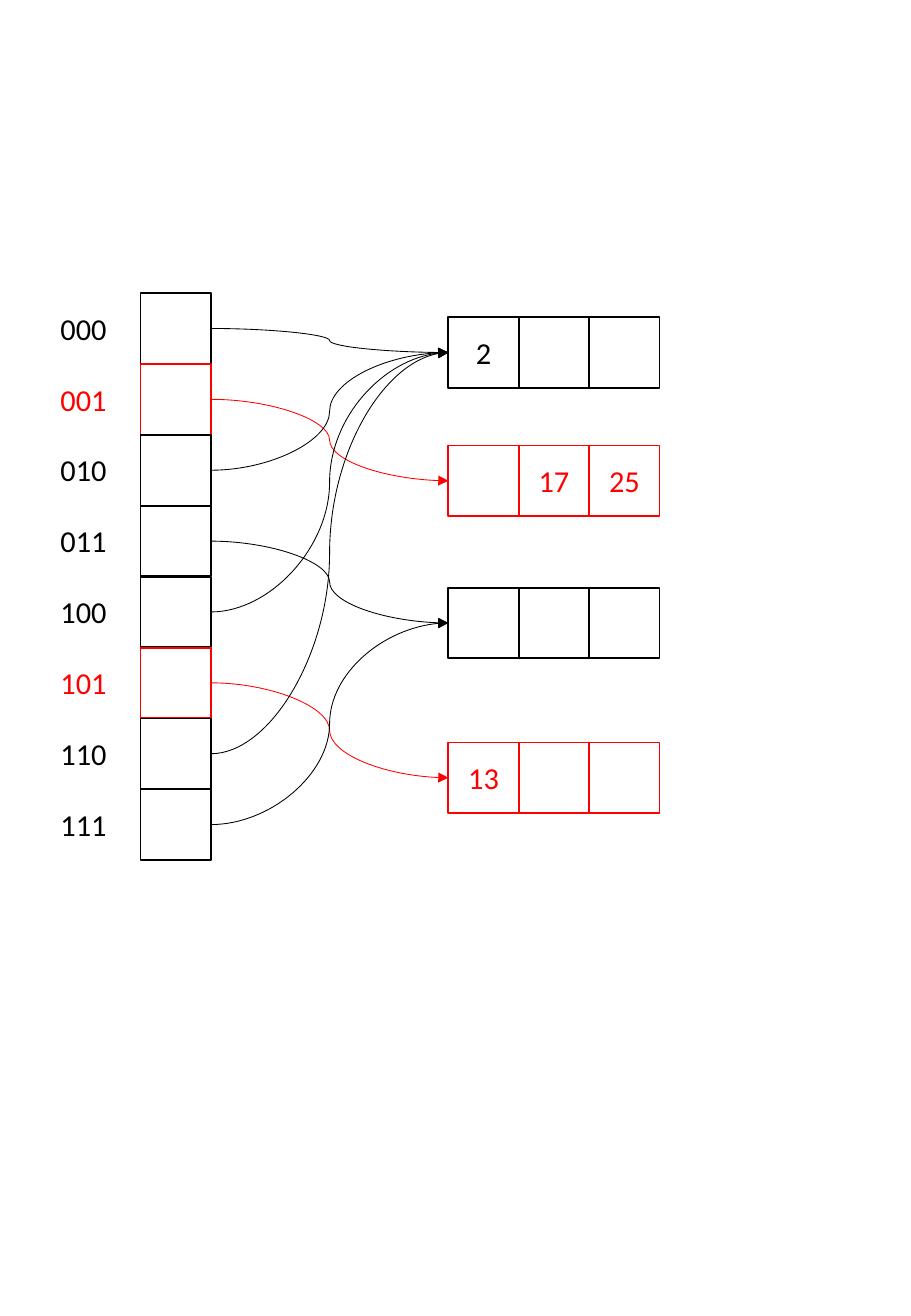
from dataclasses import dataclass

from lxml.etree import SubElement
from pptx import Presentation
from pptx.dml.color import RGBColor
from pptx.enum.shapes import MSO_CONNECTOR, MSO_SHAPE
from pptx.enum.text import MSO_ANCHOR, MSO_AUTO_SIZE, PP_ALIGN
from pptx.oxml.ns import qn
from pptx.util import Pt


@dataclass(frozen=True)
class Theme:
    normal: RGBColor = RGBColor(0, 0, 0)
    changed: RGBColor = RGBColor(255, 0, 0)
    font: str = "Calibri"
    text_size: float = 18
    cell_line: float = 1
    arrow_line: float = 0.5


class HashDiagram:
    def __init__(self, page, theme):
        self.page = page
        self.theme = theme

    def style_text(self, paragraph, color):
        for span in paragraph.runs:
            span.font.name = self.theme.font
            span.font.size = Pt(self.theme.text_size)
            span.font.color.rgb = color

    def cell(self, left, top, size, color, text=""):
        box = self.page.shapes.add_shape(
            MSO_SHAPE.RECTANGLE, Pt(left), Pt(top), Pt(size), Pt(size))
        box.shadow.inherit = False
        box.fill.background()
        box.line.color.rgb = color
        box.line.width = Pt(self.theme.cell_line)
        if text:
            frame = box.text_frame
            frame.text = text
            frame.vertical_anchor = MSO_ANCHOR.MIDDLE
            frame.paragraphs[0].alignment = PP_ALIGN.CENTER
            self.style_text(frame.paragraphs[0], color)
        return box

    def label(self, left, top, width, height, text, color):
        box = self.page.shapes.add_textbox(
            Pt(left), Pt(top), Pt(width), Pt(height))
        frame = box.text_frame
        frame.word_wrap = True
        frame.auto_size = MSO_AUTO_SIZE.SHAPE_TO_FIT_TEXT
        frame.text = text
        self.style_text(frame.paragraphs[0], color)

    def arrow(self, source, target, color):
        curve = self.page.shapes.add_connector(
            MSO_CONNECTOR.CURVE,
            source.left + source.width, source.top + source.height // 2,
            target.left, target.top + target.height // 2)
        curve.begin_connect(source, 3)
        curve.end_connect(target, 1)
        curve.line.color.rgb = color
        curve.line.width = Pt(self.theme.arrow_line)
        SubElement(curve.line._get_or_add_ln(), qn("a:tailEnd"), type="triangle")
        SubElement(curve._element.spPr, qn("a:effectLst"))


def main():
    deck = Presentation()
    deck.slide_width, deck.slide_height = Pt(540), Pt(779.76)
    theme = Theme()
    diagram = HashDiagram(deck.slides.add_slide(deck.slide_layouts[6]), theme)

    cell_size = 41.75
    directory_left, directory_top, row_pitch = 83.25, 173.75, 42
    bucket_left = 265.75
    buckets = [
        (188, theme.normal, ("2", "", "")),
        (264, theme.changed, ("", "17", "25")),
        (348.25, theme.normal, ("", "", "")),
        (440, theme.changed, ("13", "", "")),
    ]
    directory = [0, 1, 0, 2, 0, 3, 0, 2]

    entries = []
    for row, bucket in enumerate(directory):
        top = directory_top + row * row_pitch
        color = buckets[bucket][1]
        entries.append(diagram.cell(directory_left, top, cell_size, color))
        diagram.label(28.8, top + 6.25, 47.5, 29, f"{row:03b}", color)

    heads = []
    for top, color, values in buckets:
        cells = [
            diagram.cell(bucket_left + column * cell_size, top, cell_size, color, value)
            for column, value in enumerate(values)
        ]
        heads.append(cells[0])

    for entry, bucket in zip(entries, directory):
        diagram.arrow(entry, heads[bucket], buckets[bucket][1])

    deck.save("out.pptx")


if __name__ == "__main__":
    main()
